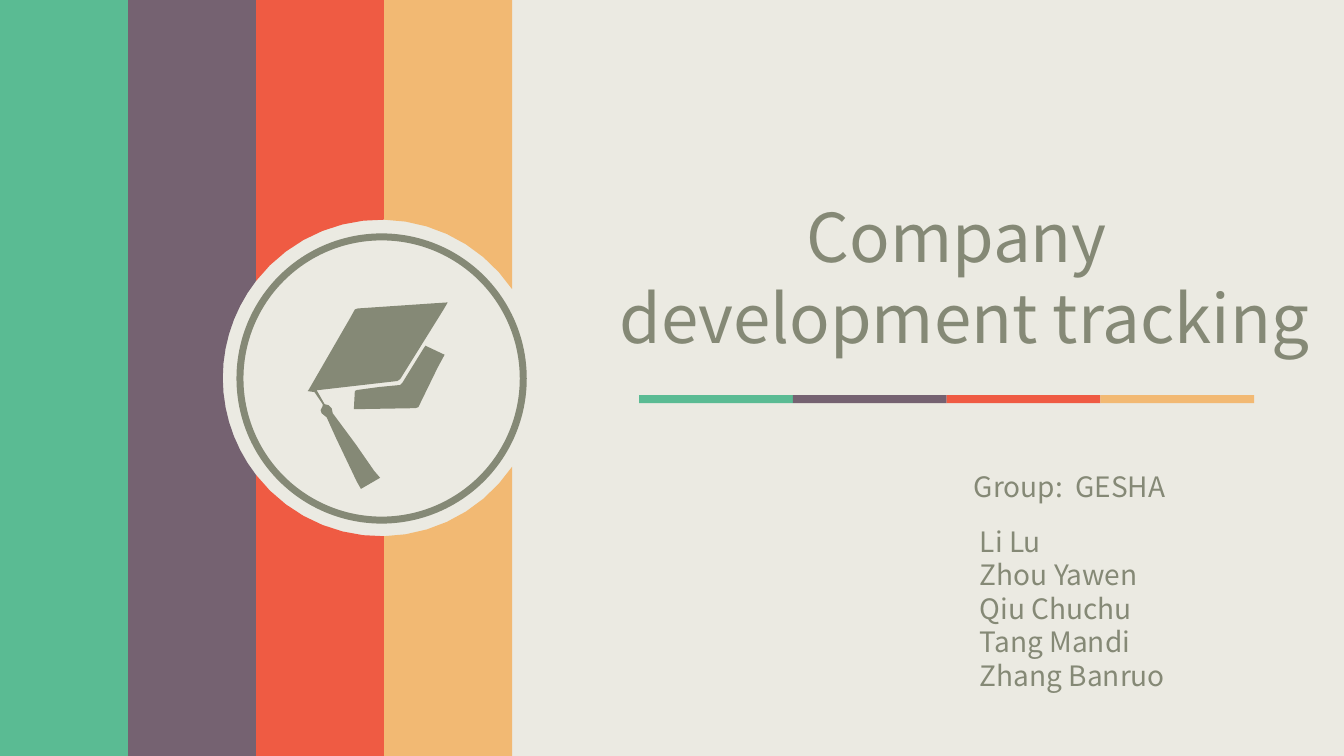
import math
from pptx import Presentation
from pptx.dml.color import RGBColor
from pptx.enum import shapes, text
from pptx.util import Inches, Pt

# Content
TITLE = ["Company ", "development tracking"]
GROUP = ["Group:  GESHA"]
MEMBERS = ["Li Lu", "Zhou Yawen", "Qiu Chuchu", "Tang Mandi", "Zhang Banruo"]

# Look
FONT = "Noto Sans CJK SC"
PAPER = RGBColor(0xEB, 0xEA, 0xE2)
OLIVE = RGBColor(0x85, 0x89, 0x76)
STRIPES = [RGBColor(0x5A, 0xBB, 0x93), RGBColor(0x75, 0x62, 0x71),
           RGBColor(0xEF, 0x5B, 0x43), RGBColor(0xF2, 0xB9, 0x73)]

# Geometry in inches
WIDTH, HEIGHT = 13.33, 7.5
STRIPE_WIDTH = 1.27
CENTER_X, CENTER_Y, NOTCH_RADIUS = 3.78, 3.75, 1.57
ARC_STEPS = 7
RING = (2.38, 2.35, 2.81, 2.81)
BAR_LEFT, BAR_TOP, BAR_WIDTH, BAR_HEIGHT = 6.34, 3.92, 1.525, 0.08

# Graduation cap: board with tassel, then the skull part
BOARD = [(3.14, 3.87), (3.22, 4.01), (3.26, 4.02), (3.29, 4.05), (3.3, 4.1),
         (3.53, 4.41), (3.71, 4.67), (3.77, 4.74), (3.58, 4.85), (3.54, 4.78),
         (3.33, 4.34), (3.24, 4.14), (3.19, 4.1), (3.18, 4.07),
         (3.2, 4.03), (3.2, 4.01), (3.12, 3.89), (3.05, 3.88),
         (3.06, 3.87), (3.47, 3.16), (3.52, 3.07), (3.55, 3.06), (4.29, 3.01),
         (4.44, 3), (4.4, 3.07), (3.97, 3.76), (3.94, 3.78), (3.16, 3.87)]
SKULL = [(3.51, 4.06), (3.52, 3.88), (3.54, 3.87), (3.76, 3.84), (3.97, 3.82),
         (3.99, 3.8), (4.2, 3.46), (4.22, 3.43), (4.41, 3.52), (4.34, 3.65),
         (4.15, 4.04), (4.12, 4.05)]

presentation = Presentation()
presentation.slide_width, presentation.slide_height = Inches(WIDTH), Inches(HEIGHT)
slide = presentation.slides.add_slide(presentation.slide_layouts[6])
slide.background.fill.solid()
slide.background.fill.fore_color.rgb = PAPER


def paint(shape, color):
    shape.shadow.inherit = False
    shape.fill.solid()
    shape.fill.fore_color.rgb = color
    shape.line.fill.background()


def add_preset(kind, box, color):
    shape = slide.shapes.add_shape(kind, *map(Inches, box))
    paint(shape, color)
    return shape


def add_outline(contours, color):
    """One freeform made of closed contours given in inches."""
    first, *others = [[(Inches(x), Inches(y)) for x, y in contour]
                      for contour in contours]
    builder = slide.shapes.build_freeform(*first[0])
    builder.add_line_segments(first[1:], close=True)
    for contour in others:
        builder.move_to(*contour[0])
        builder.add_line_segments(contour[1:], close=True)
    paint(builder.convert_to_shape(), color)


def stripe_contours(left, right):
    """A full-height stripe with the emblem's circle cut out of it."""
    start = math.acos((right - CENTER_X) / NOTCH_RADIUS)
    end = math.acos(max(-1, (left - CENTER_X) / NOTCH_RADIUS))
    angles = [start + (end - start) * i / ARC_STEPS for i in range(ARC_STEPS + 1)]
    arc = [(CENTER_X + NOTCH_RADIUS * math.cos(a), NOTCH_RADIUS * math.sin(a))
           for a in angles]
    upper = [(left, 0), (right, 0)] + [(x, CENTER_Y - rise) for x, rise in arc]
    lower = [(x, CENTER_Y + rise) for x, rise in reversed(arc)]
    lower += [(right, HEIGHT), (left, HEIGHT)]
    # The circle ends inside the stripe, or splits it in two
    return [upper + lower] if left < CENTER_X - NOTCH_RADIUS else [upper, lower]


def add_text(box, lines, size, align, wrap):
    frame = slide.shapes.add_textbox(*map(Inches, box)).text_frame
    frame.word_wrap = wrap
    for i, line in enumerate(lines):
        paragraph = frame.paragraphs[0] if i == 0 else frame.add_paragraph()
        paragraph.alignment = align
        run = paragraph.add_run()
        run.text = line
        for name, value in {"name": FONT, "size": Pt(size)}.items():
            setattr(run.font, name, value)
        run.font.color.rgb = OLIVE


# Stripes on the left
add_preset(shapes.MSO_SHAPE.RECTANGLE, (0, 0, STRIPE_WIDTH, HEIGHT), STRIPES[0])
for i, color in enumerate(STRIPES[1:], 1):
    add_outline(stripe_contours(i * STRIPE_WIDTH, (i + 1) * STRIPE_WIDTH), color)

# Four-colour rule under the title
for i, color in enumerate(STRIPES):
    box = (BAR_LEFT + i * BAR_WIDTH, BAR_TOP, BAR_WIDTH, BAR_HEIGHT)
    add_preset(shapes.MSO_SHAPE.RECTANGLE, box, color)

# Emblem
ring = add_preset(shapes.MSO_SHAPE.OVAL, RING, PAPER)
ring.fill.background()
ring.line.color.rgb = OLIVE
ring.line.width = Pt(5)
for contour in (BOARD, SKULL):
    add_outline([contour], OLIVE)

# Texts
add_text((5.32, 1.89, 8.49, 1.72), TITLE, 48, text.PP_ALIGN.CENTER, True)
add_text((9.56, 4.61, 2.22, 0.44), GROUP, 20, text.PP_ALIGN.LEFT, False)
add_text((9.62, 5.15, 2.1, 1.78), MEMBERS, 20, text.PP_ALIGN.LEFT, False)

presentation.save("out.pptx")
